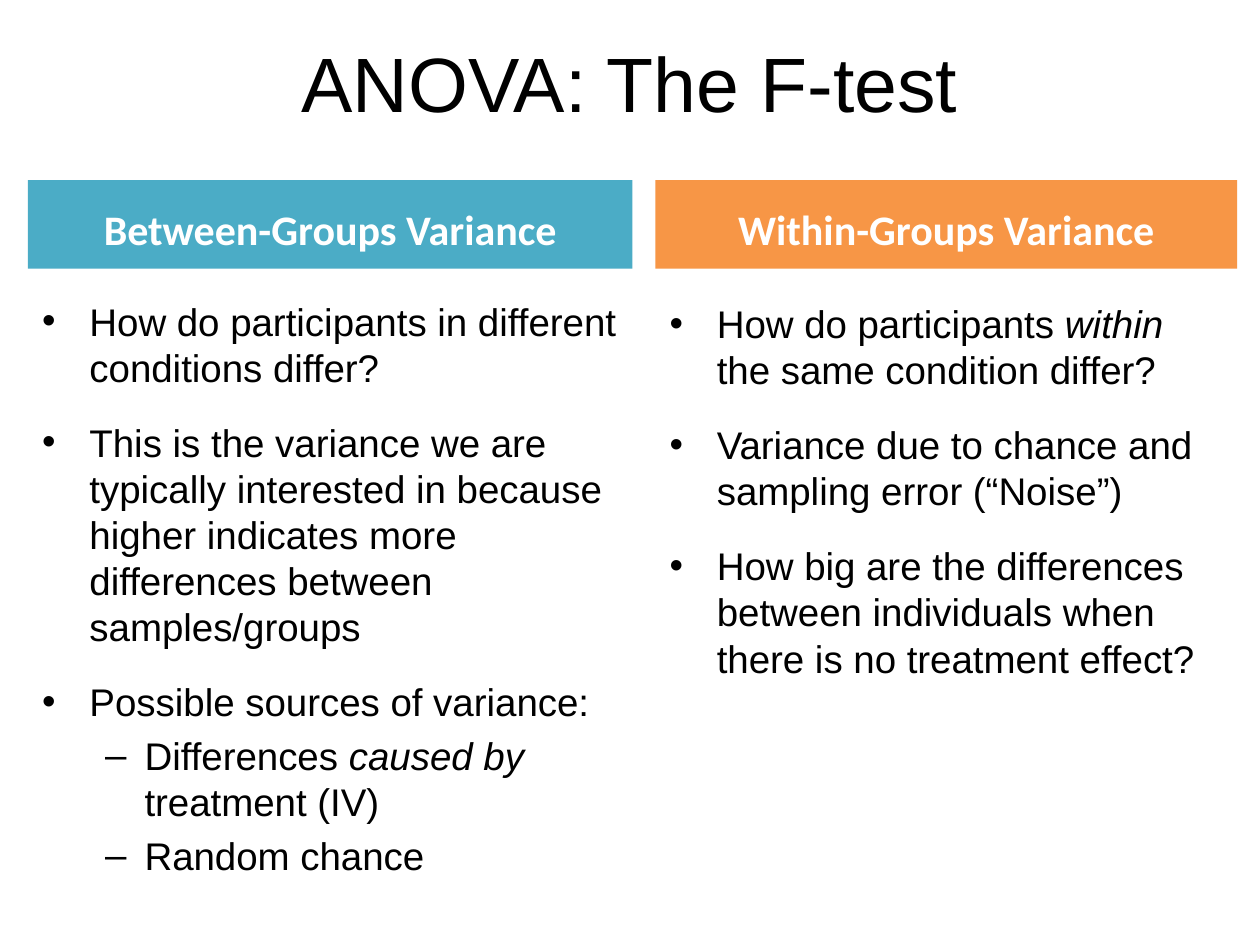
from dataclasses import dataclass

from lxml.etree import SubElement
from pptx import Presentation
from pptx.dml.color import RGBColor
from pptx.enum.shapes import MSO_SHAPE
from pptx.enum.text import MSO_ANCHOR, PP_ALIGN
from pptx.oxml.ns import qn
from pptx.util import Pt


@dataclass(frozen=True)
class Theme:
    black: str = "000000"
    white: str = "FFFFFF"
    teal: str = "4BACC6"
    orange: str = "F79646"
    title_size: int = 44
    header_size: int = 24
    body_size: int = 22
    line_factor: float = 1.2


theme = Theme()

# Bullet character, left margin and hanging indent for each level
LEVELS = [("•", 27, 27), ("–", 58.5, 22.5)]


def write(paragraph, text, size=theme.body_size, font="Arial", color=theme.black,
          bold=False, align=PP_ALIGN.LEFT, line=None, before=0, after=0, level=None):
    """Fill a paragraph; text between asterisks is italic."""
    paragraph.alignment = align
    paragraph.space_before = Pt(before)
    paragraph.space_after = Pt(after)
    if line:
        paragraph.line_spacing = Pt(line)
    if level is not None:
        bullet, margin, hanging = LEVELS[level]
        paragraph.level = level
        properties = paragraph._p.get_or_add_pPr()
        properties.set("marL", str(Pt(margin)))
        properties.set("indent", str(-Pt(hanging)))
        SubElement(properties, qn("a:buFont"), typeface="Arial")
        SubElement(properties, qn("a:buChar"), char=bullet)
    for index, part in enumerate(text.split("*")):
        if part:
            run = paragraph.add_run()
            run.text = part
            run.font.name = font
            run.font.size = Pt(size)
            run.font.bold = bold
            run.font.italic = index % 2 == 1
            run.font.color.rgb = RGBColor.from_string(color)


presentation = Presentation()
presentation.slide_width, presentation.slide_height = Pt(720), Pt(540)
slide = presentation.slides.add_slide(presentation.slide_layouts[6])

# Title
title = slide.shapes.add_textbox(Pt(36), Pt(1.5), Pt(648), Pt(90))
title.text_frame.word_wrap = True
title.text_frame.vertical_anchor = MSO_ANCHOR.MIDDLE
write(title.text_frame.paragraphs[0], "ANOVA: The F-test", size=theme.title_size,
      align=PP_ALIGN.CENTER, line=theme.title_size * theme.line_factor)

# Columns: header, colour, left, width, body top, body height,
# then (level, space after, text) for each paragraph
columns = [
    ("Between-Groups Variance", theme.teal, 16, 345.5, 166.5, 355, [
        (0, 12, "How do participants in different conditions differ?"),
        (0, 12, "This is the variance we are typically interested in because "
                "higher indicates more differences between samples/groups"),
        (0, 0, "Possible sources of variance:"),
        (1, 0, "Differences *caused by* treatment (IV)"),
        (1, 12, "Random chance"),
    ]),
    ("Within-Groups Variance", theme.orange, 374.5, 332.5, 168, 341, [
        (0, 12, "How do participants *within* the same condition differ?"),
        (0, 12, "Variance due to chance and sampling error (“Noise”)"),
        (0, 12, "How big are the differences between individuals when "
                "there is no treatment effect?"),
    ]),
]

for heading, color, left, width, top, height, items in columns:
    # Coloured header
    header = slide.shapes.add_shape(MSO_SHAPE.RECTANGLE, Pt(left), Pt(103), Pt(width), Pt(50.5))
    header.shadow.inherit = False
    header.fill.solid()
    header.fill.fore_color.rgb = RGBColor.from_string(color)
    header.line.fill.background()
    header.text_frame.word_wrap = True
    header.text_frame.vertical_anchor = MSO_ANCHOR.MIDDLE
    header.text_frame.margin_top = Pt(8.4)
    write(header.text_frame.paragraphs[0], heading, size=theme.header_size, font="Calibri",
          color=theme.white, bold=True, align=PP_ALIGN.CENTER)

    # Bulleted body
    body = slide.shapes.add_textbox(Pt(left + 1), Pt(top), Pt(width - 1), Pt(height))
    frame = body.text_frame
    frame.word_wrap = True
    for index, (level, after, text) in enumerate(items):
        paragraph = frame.add_paragraph() if index else frame.paragraphs[0]
        write(paragraph, text, line=theme.body_size * theme.line_factor, level=level,
              before=theme.body_size * 0.2 if index else 0, after=after)

presentation.save("out.pptx")
